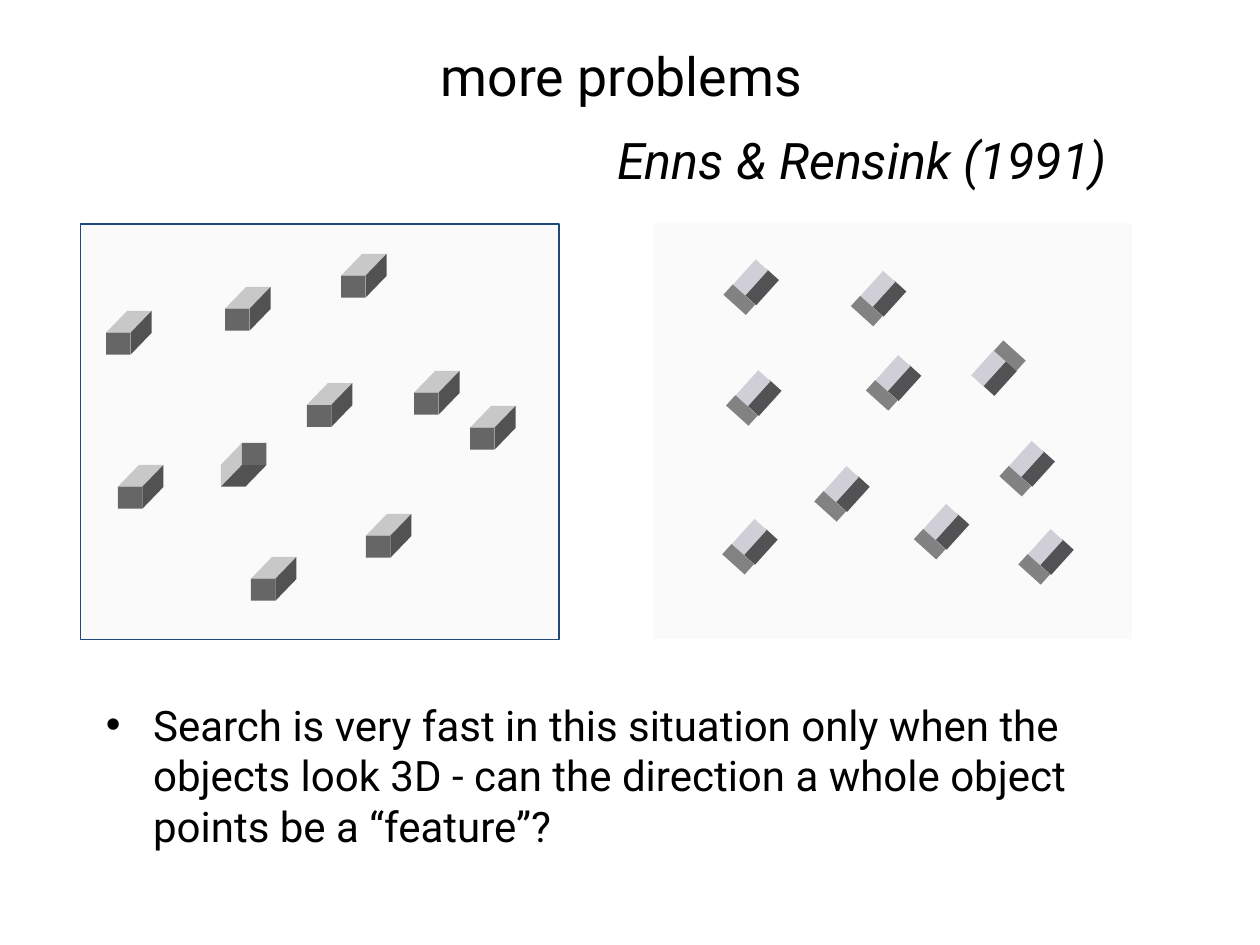
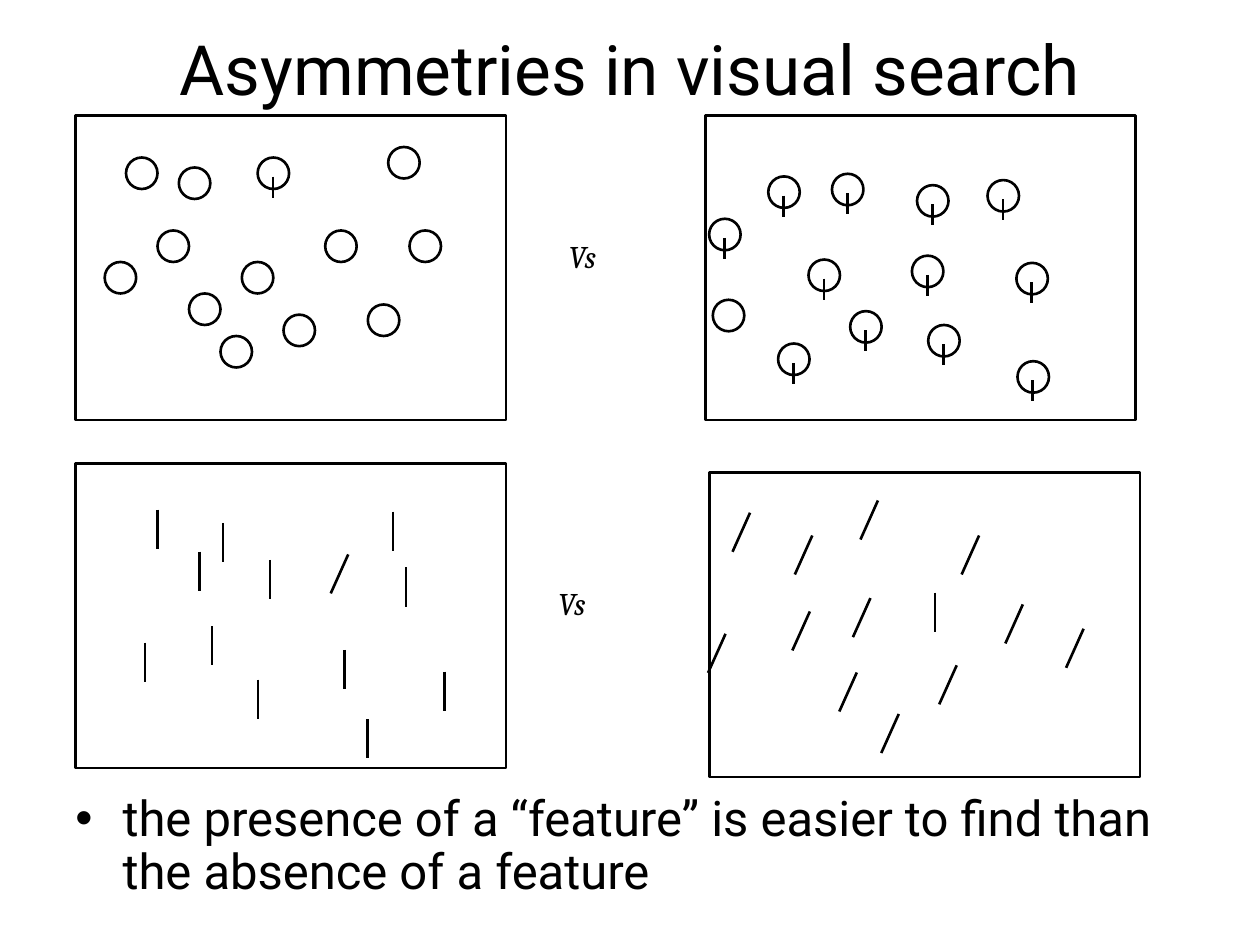
from dataclasses import dataclass

from lxml import etree
from pptx import Presentation
from pptx.dml.color import RGBColor
from pptx.enum.shapes import MSO_CONNECTOR, MSO_SHAPE
from pptx.enum.text import MSO_ANCHOR, MSO_AUTO_SIZE, PP_ALIGN
from pptx.oxml.ns import qn
from pptx.util import Pt

RECT = MSO_SHAPE.RECTANGLE
OVAL = MSO_SHAPE.OVAL
STRAIGHT = MSO_CONNECTOR.STRAIGHT
MIDDLE, TOP = MSO_ANCHOR.MIDDLE, MSO_ANCHOR.TOP
CENTER, LEFT = PP_ALIGN.CENTER, PP_ALIGN.LEFT
NO_FIT = MSO_AUTO_SIZE.NONE
FIT_SHAPE = MSO_AUTO_SIZE.SHAPE_TO_FIT_TEXT


@dataclass(frozen=True)
class Theme:
    font: str = "Roboto"
    label_font: str = "Cambria"
    ink: str = "000000"
    paper: str = "FFFFFF"
    panel: str = "FAFAFA"
    frame: str = "1F497D"
    block_front: str = "666666"
    block_lit: str = "C8C8C8"
    block_dark: str = "525252"
    bar_dark: str = "525154"
    bar_lit: str = "D0CED7"
    bar_end: str = "828282"
    title: float = 39.6
    small_title: float = 30.6
    citation: float = 28.8
    body: float = 24
    large_body: float = 28
    label: float = 18
    stroke: float = 1.5
    thin: float = 1


T = Theme()

BLOCK_SPOTS = [(14.6, 49.7), (82.6, 36), (148.9, 17.1), (129.4, 90.9), (190.6, 84),
               (222.6, 104), (21.4, 137.7), (163.1, 165.7), (97.4, 190.3)]
ODD_BLOCK = (80.3, 125.1)
BAR_SPOTS = [(53.6, 95), (220.6, 185.8), (104, 149.8), (160.9, 171.4), (124.9, 38.2),
             (52.1, 31.7), (209.8, 135.4), (51.4, 180), (133.5, 86.4)]
ODD_BAR = (188.2, 83.5)
RING_SPOTS = [(28.8, 24), (59, 29.7), (95, 83.7), (16.6, 83.7), (142.6, 65.7),
              (64.8, 101.7), (167, 108), (178.6, 18), (82.8, 126), (190.8, 65.7),
              (46.8, 65.7), (118.8, 113.8)]
ODD_TAILED = (104, 24)
TAILED_SPOTS = [(36, 34.8), (72.4, 33.3), (2.2, 59), (121, 39.8), (82.8, 111.8),
                (118.1, 80.1), (161.3, 36.9), (59, 82.3), (177.8, 84.2),
                (127.4, 119.7), (178.4, 140.4), (41.6, 130.3)]
ODD_RING = (4.3, 105.3)
UPRIGHT_SPOTS = [(46.8, 26.2), (84.2, 33.8), (70.8, 50.2), (39.6, 102.2), (181.4, 27.4),
                 (77.9, 92.9), (111.1, 54.9), (104.2, 123.3), (210.7, 118.8),
                 (153.6, 106.4), (166.8, 146), (188.8, 59.3)]
ODD_SLANTED = (155.8, 51.8)
SLANTED_SPOTS = [(23.2, 23), (58.8, 36), (57.4, 79.4), (154.1, 36), (213.8, 89.3),
                 (141.3, 110.2), (179.1, 75.4), (84.2, 114.3), (96.3, 16),
                 (92, 71.8), (108.2, 138), (9.2, 92.2)]
ODD_UPRIGHT = (128.9, 68.6)


def rgb(value):
    return RGBColor.from_string(value)


def paint(sp, fill, line=None, width=T.stroke):
    sp.shadow.inherit = False
    sp.fill.solid()
    sp.fill.fore_color.rgb = rgb(fill)
    if line:
        sp.line.color.rgb = rgb(line)
        sp.line.width = Pt(width)
    else:
        sp.line.fill.background()
    return sp


def add_preset(shapes, kind, x, y, w, h, fill, line=None, width=T.stroke):
    sp = shapes.add_shape(kind, Pt(x), Pt(y), Pt(w), Pt(h))
    return paint(sp, fill, line, width)


def add_line(shapes, x1, y1, x2, y2):
    cx = shapes.add_connector(STRAIGHT, Pt(x1), Pt(y1), Pt(x2), Pt(y2))
    cx.line.color.rgb = rgb(T.ink)
    cx.line.width = Pt(T.stroke)
    etree.SubElement(cx._element.spPr, qn("a:effectLst"))


def format_runs(p, size, font=T.font, italic=False):
    for r in p.runs:
        r.font.size = Pt(size)
        r.font.name = font
        r.font.italic = italic
        r.font.color.rgb = rgb(T.ink)


def fill_placeholder(sp, box, text, size, anchor):
    sp.left, sp.top, sp.width, sp.height = (Pt(v) for v in box)
    tf = sp.text_frame
    tf.text = text
    tf.word_wrap = True
    tf.auto_size = NO_FIT
    tf.vertical_anchor = anchor
    format_runs(tf.paragraphs[0], size)
    return tf


def add_title(slide, box, text, size):
    tf = fill_placeholder(slide.shapes.title, box, text, size, MIDDLE)
    tf.paragraphs[0].alignment = CENTER
    return tf


def add_bullet(slide, box, text, size, spacing=1.0):
    tf = fill_placeholder(slide.placeholders[1], box, text, size, TOP)
    tf.paragraphs[0].line_spacing = spacing


def set_margin(p, side, length):
    p._p.get_or_add_pPr().set(side, str(Pt(length)))


def add_citation(tf, text, indent):
    tf.margin_top = Pt(10.5)
    set_margin(tf.paragraphs[0], "marR", 9.8)
    p = tf.add_paragraph()
    p.text = text
    p.alignment = LEFT
    p.space_before = Pt(13)
    set_margin(p, "marL", indent)
    format_runs(p, T.citation, italic=True)


def add_label(slide, x, y, text):
    sp = slide.shapes.add_textbox(Pt(x), Pt(y), Pt(38), Pt(36))
    tf = sp.text_frame
    tf.text = text
    tf.word_wrap = False
    tf.auto_size = FIT_SHAPE
    format_runs(tf.paragraphs[0], T.label, T.label_font, italic=True)


def add_faces(shapes, faces, fill):
    outlines = [[(Pt(x), Pt(y)) for x, y in face] for face in faces]
    builder = shapes.build_freeform(*outlines[0][0])
    for i, points in enumerate(outlines):
        if i:
            builder.move_to(*points[0])
        builder.add_line_segments(points[1:], close=True)
    paint(builder.convert_to_shape(), fill)


def add_blocks(shapes, x, y, spots, odd):
    w, h, front_w, front_h = 26, 25, 14, 12.6
    depth, rise = w - front_w, h - front_h
    top = [(0, rise), (depth, 0), (w, 0), (front_w, rise)]
    side = [(front_w, rise), (w, 0), (w, front_h), (front_w, h)]

    def moved(face, spot):
        return [(x + spot[0] + px, y + spot[1] + py) for px, py in face]

    def turned(face):
        return moved([(w - px, h - py) for px, py in face], odd)

    lit = [moved(top, spot) for spot in spots] + [turned(side)]
    dark = [moved(side, spot) for spot in spots] + [turned(top)]
    add_faces(shapes, lit, T.block_lit)
    add_faces(shapes, dark, T.block_dark)
    fronts = [(dx, dy + rise) for dx, dy in spots] + [(odd[0] + depth, odd[1])]
    for dx, dy in fronts:
        add_preset(shapes, RECT, x + dx, y + dy, front_w, front_h, T.block_front)


def add_bar(shapes, x, y, turned=False):
    end_dx, end_dy = (11.5, -16.6) if turned else (-7, 3.2)
    group = shapes.add_group_shape()
    for dx, dy, w, h, fill in ((0, 0, 19.4, 9.4, T.bar_dark),
                               (-6.3, -5.5, 19.4, 9.4, T.bar_lit),
                               (end_dx, end_dy, 8, 17.3, T.bar_end)):
        sp = add_preset(group.shapes, RECT, x + dx, y + dy, w, h, fill)
        sp.rotation = 132.1


def add_turned_bar(shapes, x, y):
    add_bar(shapes, x, y, turned=True)


def add_ring(shapes, x, y):
    add_preset(shapes, OVAL, x, y, 18, 18, T.paper, T.ink)


def add_tailed_ring(shapes, x, y):
    group = shapes.add_group_shape()
    add_ring(group.shapes, x, y)
    add_line(group.shapes, x + 8.8, y + 11, x + 8.8, y + 23)


def add_upright(shapes, x, y):
    add_line(shapes, x, y, x, y + 22.3)


def add_slanted(shapes, x, y):
    add_line(shapes, x, y, x - 10, y + 22.3)


def add_marks(shapes, x, y, draw, spots, draw_odd, odd):
    for dx, dy in spots:
        draw(shapes, x + dx, y + dy)
    draw_odd(shapes, x + odd[0], y + odd[1])


def problems_slide(prs):
    slide = prs.slides.add_slide(prs.slide_layouts[1])
    shapes = slide.shapes
    tf = add_title(slide, (18, 12, 684, 102), "more problems", T.small_title)
    add_citation(tf, "Enns & Rensink (1991)", 327.4)
    add_bullet(slide, (53.3, 396, 630, 123),
               "Search is very fast in this situation only when the objects look 3D"
               " - can the direction a whole object points be a “feature”?", T.body)
    w, h = 273.6, 237.4
    x, y = 46, 128
    add_preset(shapes, RECT, x, y, w, h, T.panel, T.frame, T.thin)
    add_blocks(shapes, x, y, BLOCK_SPOTS, ODD_BLOCK)
    x, y = 373.3, 127.7
    add_preset(shapes, RECT, x, y, w, h, T.panel)
    add_marks(shapes, x, y, add_bar, BAR_SPOTS, add_turned_bar, ODD_BAR)


def asymmetries_slide(prs):
    slide = prs.slides.add_slide(prs.slide_layouts[1])
    shapes = slide.shapes
    add_title(slide, (54, 12, 612, 54), "Asymmetries in visual search", T.title)
    add_bullet(slide, (35.8, 450, 654, 74),
               "the presence of a “feature” is easier to find than the absence"
               " of a feature", T.large_body, 0.9)
    for x, y, *marks in (
            (43.2, 66, add_ring, RING_SPOTS, add_tailed_ring, ODD_TAILED),
            (403, 66, add_tailed_ring, TAILED_SPOTS, add_ring, ODD_RING),
            (43.2, 265, add_upright, UPRIGHT_SPOTS, add_slanted, ODD_SLANTED),
            (405.4, 270, add_slanted, SLANTED_SPOTS, add_upright, ODD_UPRIGHT)):
        add_preset(shapes, RECT, x, y, 246, 174, T.paper, T.ink)
        add_marks(shapes, x, y, *marks)
    for x, y in ((318, 132), (312, 330)):
        add_label(slide, x, y, "Vs")


def main():
    prs = Presentation()
    prs.slide_width, prs.slide_height = Pt(720), Pt(540)
    problems_slide(prs)
    asymmetries_slide(prs)
    prs.save("out.pptx")


main()
